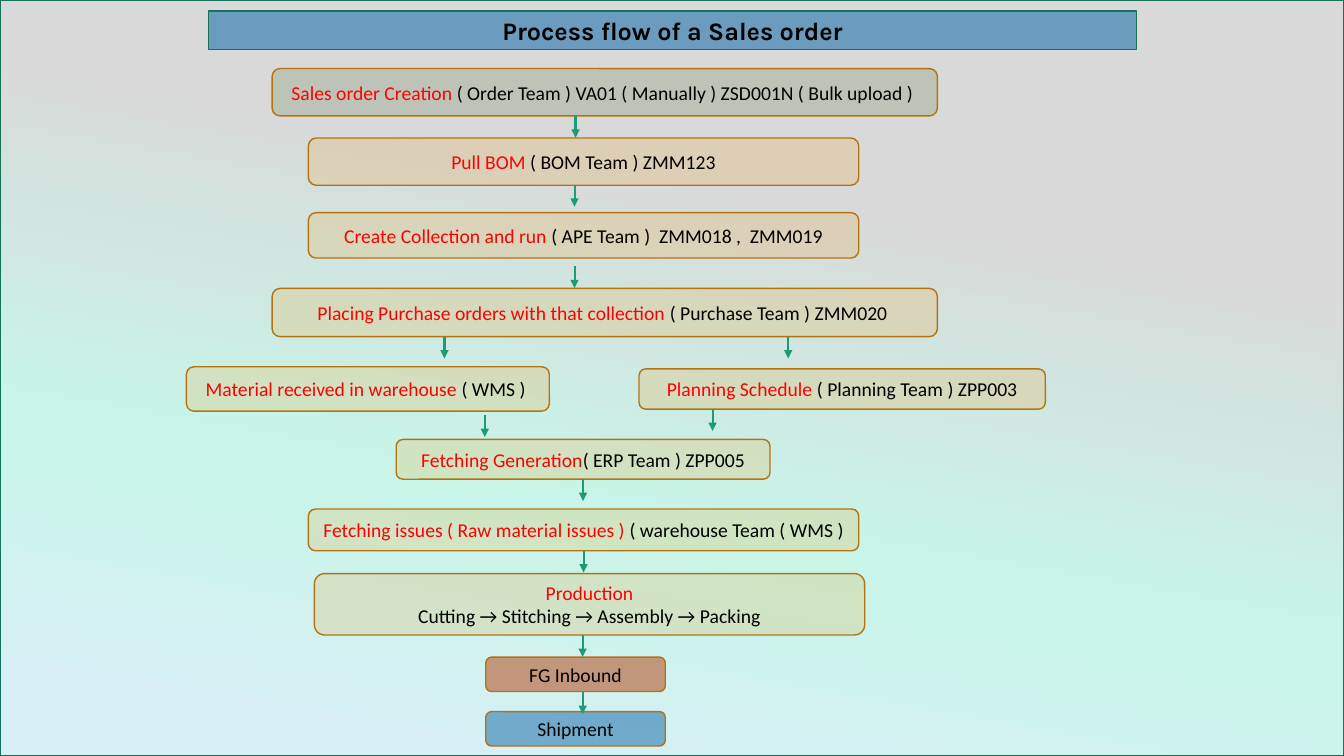
from dataclasses import dataclass

import lxml.etree
import pptx
import pptx.dml.color
import pptx.enum.shapes
import pptx.enum.text
import pptx.oxml
import pptx.oxml.ns
import pptx.util

Pt = pptx.util.Pt
Shape = pptx.enum.shapes.MSO_SHAPE
qn = pptx.oxml.ns.qn


@dataclass(frozen=True)
class Theme:
    sky: tuple = ((28, "D9D9D9"), (65, "C8F5E8"), (93, "D7EFF5"))
    slant: int = 100
    frame: str = "157259"
    edge: str = "B27412"
    arrow: str = "1D9A78"
    lead: str = "FF0000"
    ink: str = "000000"
    olive: tuple = ("466221", 18)
    amber: tuple = ("F19D19", 18)
    rust: tuple = ("B74919", 54)
    blue: tuple = ("1D6FA9", 54)
    banner: tuple = ("1D6FA9", 58)
    head_font: str = "Karla"
    text_font: str = "Calibri"
    head_size: int = 18
    text_size: int = 14
    thin: float = 1
    thick: float = 1.5


def rgb(code):
    return pptx.dml.color.RGBColor.from_string(code)


class Chart:
    def __init__(self, slide, theme):
        self.slide = slide
        self.theme = theme

    def tint(self, shape, paint, edge):
        code, alpha = paint
        shape.fill.solid()
        shape.fill.fore_color.rgb = rgb(code)
        color = shape.element.spPr.xpath("./a:solidFill/a:srgbClr")[0]
        lxml.etree.SubElement(color, qn("a:alpha"), val=str(alpha * 1000))
        self.trim(shape, edge)

    def trim(self, shape, edge):
        shape.line.color.rgb = rgb(edge)
        shape.line.width = Pt(self.theme.thin)

    def set_type(self, par, font, size):
        par.alignment = pptx.enum.text.PP_ALIGN.CENTER
        par.font.name = font
        par.font.size = Pt(size)

    def panel(self, wide, high):
        shape = self.slide.shapes.add_shape(Shape.RECTANGLE, 0, 0, Pt(wide), Pt(high))
        shape.shadow.inherit = False
        shape.fill.gradient()
        grad = shape.element.spPr.find(qn("a:gradFill"))
        stops = "".join(
            f'<a:gs pos="{pos * 1000}"><a:srgbClr val="{code}"/></a:gs>'
            for pos, code in self.theme.sky
        )
        grad.getparent().replace(grad, pptx.oxml.parse_xml(
            f'<a:gradFill {pptx.oxml.ns.nsdecls("a")} rotWithShape="1">'
            f'<a:gsLst>{stops}</a:gsLst>'
            f'<a:lin ang="{self.theme.slant * 60000}" scaled="0"/></a:gradFill>'
        ))
        self.trim(shape, self.theme.frame)
        self.slide.shapes.title.element.addprevious(shape.element)

    def title(self, text, left, top, wide, high):
        shape = self.slide.shapes.title
        shape.left, shape.top, shape.width, shape.height = map(Pt, (left, top, wide, high))
        self.tint(shape, self.theme.banner, self.theme.frame)
        frame = shape.text_frame
        frame.text = text
        frame.auto_size = pptx.enum.text.MSO_AUTO_SIZE.NONE
        frame.vertical_anchor = pptx.enum.text.MSO_ANCHOR.MIDDLE
        par = frame.paragraphs[0]
        self.set_type(par, self.theme.head_font, self.theme.head_size)
        par.font.bold = True
        par.font.color.rgb = rgb(self.theme.ink)

    def step(self, paint, place, *rows):
        shape = self.slide.shapes.add_shape(Shape.ROUNDED_RECTANGLE, *map(Pt, place))
        shape.shadow.inherit = False
        self.tint(shape, paint, self.theme.edge)
        frame = shape.text_frame
        frame.word_wrap = True
        frame.vertical_anchor = pptx.enum.text.MSO_ANCHOR.MIDDLE
        for at, row in enumerate(rows):
            par = frame.add_paragraph() if at else frame.paragraphs[0]
            self.set_type(par, self.theme.text_font, self.theme.text_size)
            for text, code in zip(row, (self.theme.lead, self.theme.ink)):
                if text:
                    run = par.add_run()
                    run.text = text
                    run.font.color.rgb = rgb(code)
        return shape

    def arrow(self, left, top, drop=15.6, source=None):
        link = self.slide.shapes.add_connector(
            pptx.enum.shapes.MSO_CONNECTOR.STRAIGHT,
            Pt(left), Pt(top), Pt(left), Pt(top + drop),
        )
        if source is not None:
            link.begin_connect(source, 2)
            link.end_x = link.begin_x
        link.line.color.rgb = rgb(self.theme.arrow)
        link.line.width = Pt(self.theme.thick)
        line = link.line._get_or_add_ln()
        lxml.etree.SubElement(line, qn("a:tailEnd"), type="triangle")
        lxml.etree.SubElement(link.element.spPr, qn("a:effectLst"))


def main():
    deck = pptx.Presentation()
    wide, high = 960, 540
    deck.slide_width, deck.slide_height = Pt(wide), Pt(high)
    theme = Theme()
    flow = Chart(deck.slides.add_slide(deck.slide_layouts[5]), theme)

    flow.panel(wide, high)
    flow.title("Process flow of a Sales order", 149, 7.9, 663, 27.4)

    broad, mid = (194.4, 475.2), (220.3, 393.1)
    flow.step(theme.olive, (broad[0], 49, broad[1], 33.8),
              ("Sales order Creation ", "( Order Team ) VA01 ( Manually ) ZSD001N ( Bulk upload ) "))
    flow.step(theme.amber, (mid[0], 98.6, mid[1], 33.8),
              ("Pull BOM ", "( BOM Team ) ZMM123"))
    flow.step(theme.amber, (mid[0], 151.9, mid[1], 32.4),
              ("Create Collection and run ", "( APE Team )  ZMM018 ,  ZMM019"))
    flow.step(theme.amber, (broad[0], 206, broad[1], 34.5),
              ("Placing Purchase orders with that collection ", "( Purchase Team ) ZMM020 "))
    flow.step(theme.amber, (133.2, 262, 259.2, 31.7),
              ("Material received in warehouse ", "( WMS ) "))
    flow.step(theme.amber, (456.5, 263.5, 290.2, 28.8),
              ("Planning Schedule ", "( Planning Team ) ZPP003"))
    fetch = flow.step(theme.amber, (283, 313.9, 267, 28.4),
                      ("Fetching Generation", "( ERP Team ) ZPP005"))
    issue = flow.step(theme.amber, (mid[0], 363.6, mid[1], 29.8),
                      ("Fetching issues ( Raw material issues ) ", "( warehouse Team ( WMS )"))
    flow.step(theme.amber, (224.6, 409.7, mid[1], 43.9),
              ("Production", ""), ("", "Cutting → Stitching → Assembly → Packing"))
    for paint, top, text in ((theme.rust, 469.4, "FG Inbound"), (theme.blue, 508.3, "Shipment")):
        flow.step(paint, (347, top, 128.2, 24.6), ("", text))

    for left, top in (
        (411.1, 82.8), (410.4, 132), (410.4, 190.2),
        (563, 240.5), (317.5, 240.5), (509, 292.3), (346.3, 296.6),
        (416.2, 453.6), (416.2, 494.4),
    ):
        flow.arrow(left, top)
    flow.arrow(416.5, 342.3, source=fetch)
    flow.arrow(416.9, 393.4, source=issue)

    deck.save("out.pptx")


if __name__ == "__main__":
    main()
